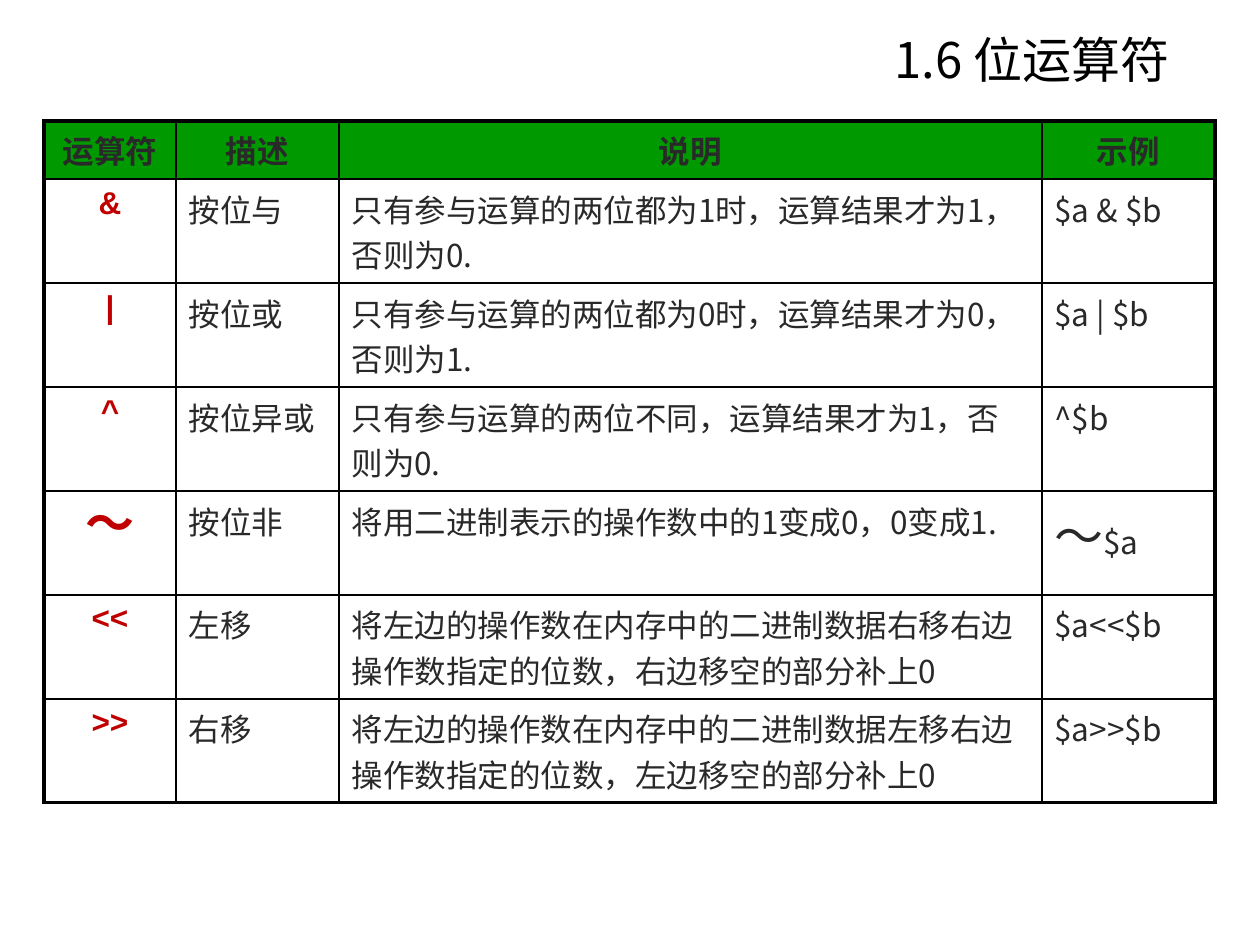
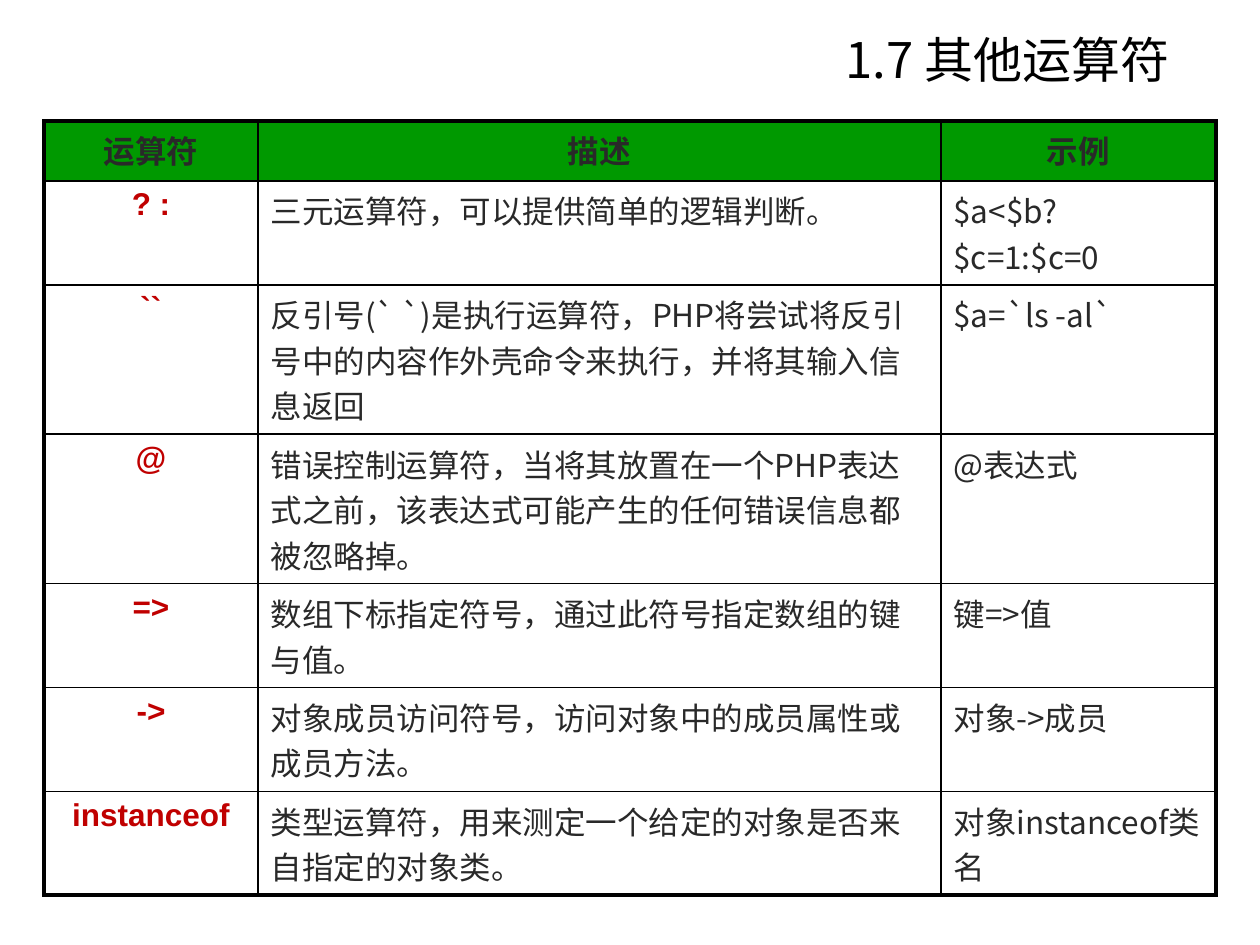
from dataclasses import dataclass
from itertools import groupby

from lxml.etree import SubElement
from pptx import Presentation
from pptx.dml.color import RGBColor as RGB
from pptx.enum.text import MSO_ANCHOR as Anchor, MSO_AUTO_SIZE as AutoSize, PP_ALIGN as Align
from pptx.oxml.ns import qn
from pptx.util import Emu, Inches, Pt

EMU_PER_PX = 914400 / 126
WIDE_TILDE = "～"


def px(n):
    return Emu(round(n * EMU_PER_PX))


@dataclass(frozen=True)
class Theme:
    # Colours
    title: str = "000000"
    text: str = "292929"
    operator: str = "C00000"
    header: str = "009900"
    rule: str = "000000"
    # Fonts
    font: str = "Noto Sans CJK SC"
    operator_font: str = "Arial"
    # Type sizes and line widths in points
    title_size: int = 28
    body_size: int = 18
    tilde_size: int = 28
    inner_line: float = 1
    outer_line: float = 2.25


def write(tf, text, *, font, size, color, bold=False, align=Align.LEFT, tilde_size=None):
    """Fill a text frame with one paragraph; wide tildes may have their own size."""
    p = tf.paragraphs[0]
    p.alignment = align
    for is_tilde, chars in groupby(text, lambda ch: ch == WIDE_TILDE):
        r = p.add_run()
        r.text = "".join(chars)
        f = r.font
        f.name, f.bold = font, bold
        f.size = Pt(tilde_size if is_tilde and tilde_size else size)
        f.color.rgb = RGB.from_string(color)
        SubElement(r._r.get_or_add_rPr(), qn("a:ea"), typeface=font)


class Deck:
    def __init__(self, theme):
        self.theme = theme
        self.prs = Presentation()
        self.prs.slide_width, self.prs.slide_height = Inches(10), Inches(7.5)
        self.slide = None

    def new_slide(self, title):
        t = self.theme
        self.slide = self.prs.slides.add_slide(self.prs.slide_layouts[5])
        sp = self.slide.shapes.title
        sp.left, sp.top, sp.width, sp.height = map(px, (286, 20, 896, 78))
        tf = sp.text_frame
        tf.word_wrap, tf.auto_size = True, AutoSize.NONE
        tf.vertical_anchor = Anchor.MIDDLE
        write(tf, title, font=t.font, size=t.title_size, color=t.title, align=Align.RIGHT)

    def borders(self, cell, widths):
        """Draw the left, right, top and bottom edges of a cell."""
        tc_pr = cell._tc.get_or_add_tcPr()
        for side, width in zip("LRTB", widths):
            ln = SubElement(tc_pr, qn(f"a:ln{side}"), w=str(Pt(width)))
            fill = SubElement(ln, qn("a:solidFill"))
            SubElement(fill, qn("a:srgbClr"), val=self.theme.rule)

    def table(self, rows, col_widths, row_heights):
        t = self.theme
        n_rows, n_cols = len(rows), len(col_widths)
        tbl = self.slide.shapes.add_table(
            n_rows, n_cols, px(44), px(121), px(sum(col_widths)), px(sum(row_heights))).table
        tbl.first_row = tbl.horz_banding = False
        for col, width in zip(tbl.columns, col_widths):
            col.width = px(width)
        for row, height in zip(tbl.rows, row_heights):
            row.height = px(height)

        # Cell formats by role: header row, operator column, plain text
        plain = dict(font=t.font, size=t.body_size, color=t.text, tilde_size=t.tilde_size)
        header = plain | dict(bold=True, align=Align.CENTER)
        operator = header | dict(font=t.operator_font, color=t.operator)

        for i, row in enumerate(rows):
            for j, text in enumerate(row):
                cell = tbl.cell(i, j)
                on_edge = (j == 0, j == n_cols - 1, i == 0, i == n_rows - 1)
                self.borders(cell, [t.outer_line if e else t.inner_line for e in on_edge])
                if i == 0:
                    cell.fill.solid()
                    cell.fill.fore_color.rgb = RGB.from_string(t.header)
                else:
                    cell.fill.background()
                style = header if i == 0 else operator if j == 0 else plain
                write(cell.text_frame, text, **style)


BITWISE = [
    ("运算符", "描述", "说明", "示例"),
    ("&", "按位与", "只有参与运算的两位都为1时，运算结果才为1，否则为0.", "$a & $b"),
    ("|", "按位或", "只有参与运算的两位都为0时，运算结果才为0，否则为1.", "$a | $b"),
    ("^", "按位异或", "只有参与运算的两位不同，运算结果才为1，否则为0.", "^$b"),
    ("～", "按位非", "将用二进制表示的操作数中的1变成0，0变成1.", "～$a"),
    ("<<", "左移",
     "将左边的操作数在内存中的二进制数据右移右边操作数指定的位数，右边移空的部分补上0", "$a<<$b"),
    (">>", "右移",
     "将左边的操作数在内存中的二进制数据左移右边操作数指定的位数，左边移空的部分补上0", "$a>>$b"),
]

OTHERS = [
    ("运算符", "描述", "示例"),
    ("? :", "三元运算符，可以提供简单的逻辑判断。", "$a<$b?$c=1:$c=0"),
    ("``",
     "反引号(` `)是执行运算符，PHP将尝试将反引号中的内容作外壳命令来执行，并将其输入信息返回",
     "$a=`ls -al`"),
    ("@",
     "错误控制运算符，当将其放置在一个PHP表达式之前，该表达式可能产生的任何错误信息都被忽略掉。",
     "@表达式"),
    ("=>", "数组下标指定符号，通过此符号指定数组的键与值。", "键=>值"),
    ("->", "对象成员访问符号，访问对象中的成员属性或成员方法。", "对象->成员"),
    ("instanceof", "类型运算符，用来测定一个给定的对象是否来自指定的对象类。", "对象instanceof类名"),
]


def main():
    deck = Deck(Theme())

    # Bitwise operators
    deck.new_slide("1.6 位运算符")
    deck.table(BITWISE, (132, 163, 703, 173), (55, 104, 104, 104, 78, 97, 97))

    # Other operators
    deck.new_slide("1.7 其他运算符")
    deck.table(OTHERS, (214, 683, 275), (60, 97, 127, 127, 88, 89, 89))

    deck.prs.save("out.pptx")


if __name__ == "__main__":
    main()
